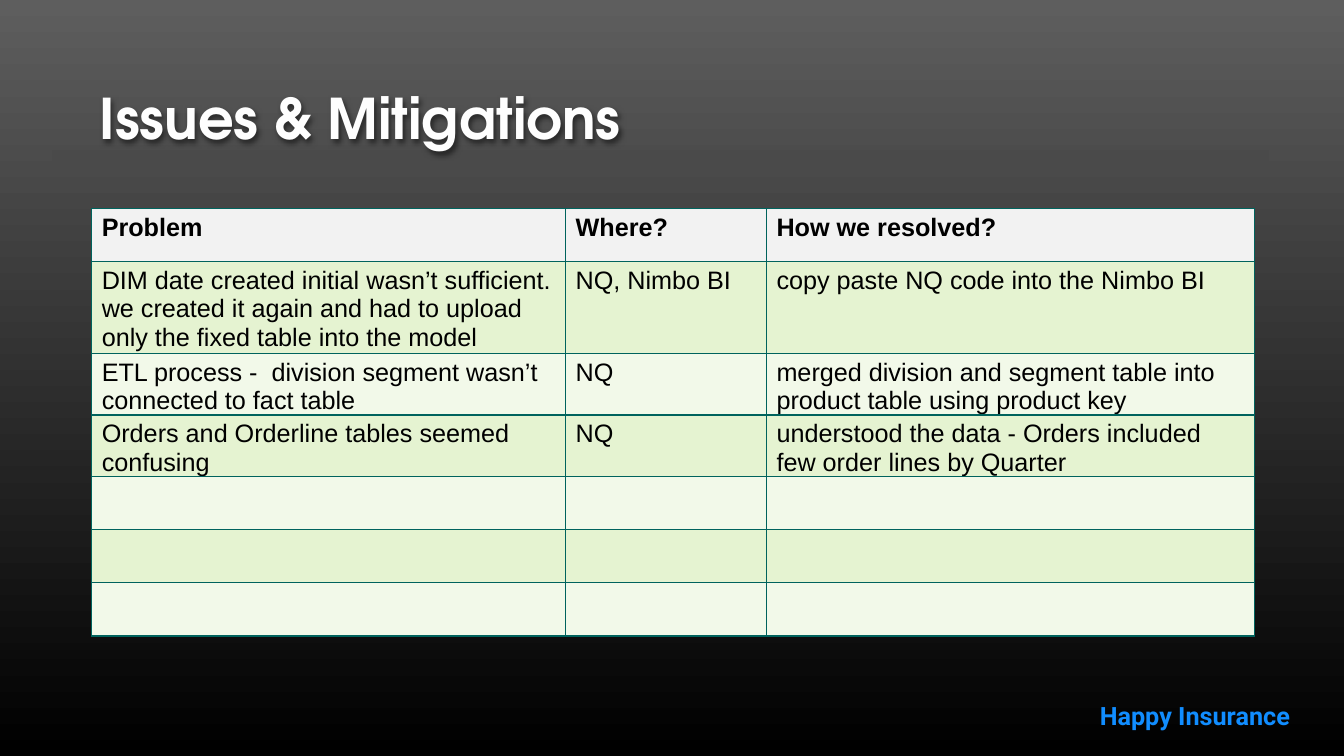
from lxml import etree
from pptx import Presentation
from pptx.dml import color
from pptx.enum import shapes, text
from pptx.oxml import ns
from pptx.util import Pt

ROWS = [
    ("Problem", "Where?", "How we resolved?"),
    ("DIM date created initial wasn’t sufficient. we created it again and had "
     "to upload only the fixed table into the model",
     "NQ, Nimbo BI", "copy paste NQ code into the Nimbo BI"),
    ("ETL process -  division segment wasn’t connected to fact table",
     "NQ", "merged division and segment table into product table using product key"),
    ("Orders and Orderline tables seemed confusing",
     "NQ", "understood the data - Orders included few order lines by Quarter"),
    ("", "", ""),
    ("", "", ""),
    ("", "", ""),
]
COL_WIDTHS = (338.5, 143.5, 348.5)
ROW_HEIGHTS = (38, 65.5, 38, 38, 38, 38, 38)


def rgb(value):
    return color.RGBColor.from_string(value)


def write(tf, content, *, size=18, font="Arial", fill="000000", bold=False):
    r = tf.paragraphs[0].add_run()
    r.text = content
    r.font.size, r.font.name, r.font.bold = Pt(size), font, bold
    r.font.color.rgb = rgb(fill)


class Deck:
    header, bands = "F2F2F2", ("E5F3D1", "F2F9E9")
    border, border_width = "00635D", 1

    def __init__(self):
        self.prs = Presentation()
        self.prs.slide_width, self.prs.slide_height = Pt(960), Pt(540)
        self.s = self.prs.slides.add_slide(self.prs.slide_layouts[5])

    def background(self, top, bottom):
        fill = self.s.background.fill
        fill.gradient()
        fill.gradient_angle = 270
        for stop, value in zip(fill.gradient_stops, (top, bottom)):
            stop.color.rgb = rgb(value)

    def rule(self, x1, x2, y, value, width):
        line = self.s.shapes.add_connector(
            shapes.MSO_CONNECTOR.STRAIGHT, Pt(x1), Pt(y), Pt(x2), Pt(y))
        line.line.color.rgb, line.line.width = rgb(value), Pt(width)
        etree.SubElement(line._element.spPr, ns.qn("a:effectLst"))

    def title(self, content, x, y, w, h):
        sp = self.s.shapes.title
        sp.left, sp.top, sp.width, sp.height = Pt(x), Pt(y), Pt(w), Pt(h)
        tf = sp.text_frame
        tf.vertical_anchor = text.MSO_ANCHOR.BOTTOM
        tf.paragraphs[0].alignment = text.PP_ALIGN.LEFT
        write(tf, content, size=40, font="TeX Gyre Adventor", fill="FEFEFE", bold=True)
        # Soft shadow; the unfilled shape casts it from its text
        effects = etree.SubElement(sp._element.spPr, ns.qn("a:effectLst"))
        shadow = etree.SubElement(effects, ns.qn("a:outerShdw"), blurRad=str(Pt(4)),
                                  dist=str(Pt(2)), dir="2700000")
        black = etree.SubElement(shadow, ns.qn("a:srgbClr"), val="000000")
        etree.SubElement(black, ns.qn("a:alpha"), val="50000")
        # Bring the heading in front of the rule
        self.s.shapes._spTree.append(sp._element)

    def label(self, content, x, y, w, h, **style):
        tf = self.s.shapes.add_textbox(Pt(x), Pt(y), Pt(w), Pt(h)).text_frame
        tf.word_wrap = True
        write(tf, content, **style)

    def outline(self, cell):
        tcPr = cell._tc.get_or_add_tcPr()
        for side in ("lnL", "lnR", "lnT", "lnB"):
            ln = etree.SubElement(tcPr, ns.qn(f"a:{side}"), w=str(Pt(self.border_width)))
            fill = etree.SubElement(ln, ns.qn("a:solidFill"))
            etree.SubElement(fill, ns.qn("a:srgbClr"), val=self.border)

    def table(self, rows, widths, heights, x, y):
        table = self.s.shapes.add_table(
            len(rows), len(widths), Pt(x), Pt(y), Pt(sum(widths)), Pt(sum(heights))).table
        for column, width in zip(table.columns, widths):
            column.width = Pt(width)
        for i, (row, height) in enumerate(zip(rows, heights)):
            table.rows[i].height = Pt(height)
            for cell, content in zip(table.rows[i].cells, row):
                self.outline(cell)
                cell.margin_bottom = 0
                cell.fill.solid()
                cell.fill.fore_color.rgb = rgb(self.bands[(i - 1) % 2] if i else self.header)
                if content:
                    write(cell.text_frame, content, bold=i == 0)


def main():
    deck = Deck()
    # Backdrop and footer
    deck.background("5E5E5E", "000000")
    deck.label("Happy Insurance", 778.5, 497, 165.5, 29,
               font="Roboto", fill="118DFF", bold=True)
    deck.rule(37.5, 906.5, 111.5, "4A4A4A", 8)
    # Heading
    deck.title("Issues & Mitigations", 64, 35.5, 832.5, 76)
    # Issues table
    deck.table(ROWS, COL_WIDTHS, ROW_HEIGHTS, 65.5, 149)
    deck.prs.save("out.pptx")


if __name__ == "__main__":
    main()
